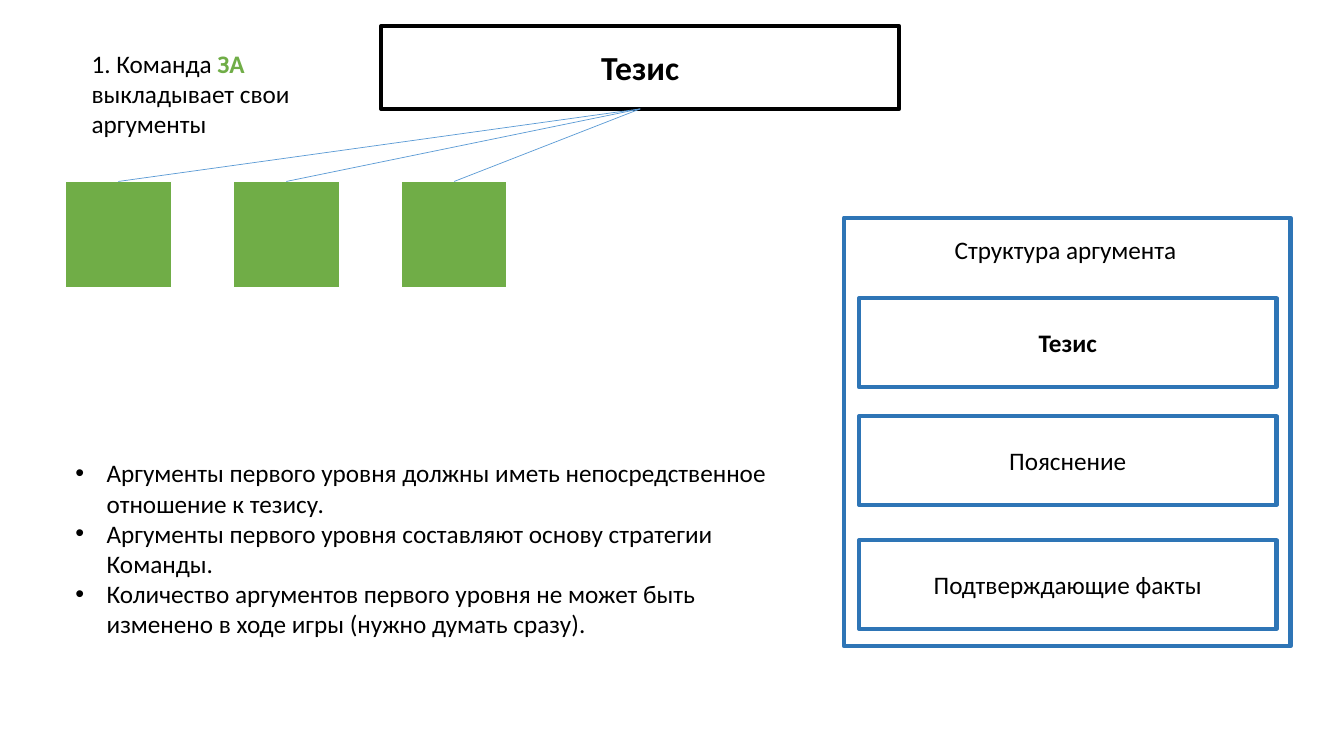
import pptx
import pptx.util
import pptx.dml.color
import pptx.enum.shapes
import pptx.enum.text
import pptx.oxml.ns
from lxml import etree

Inches, Pt = pptx.util.Inches, pptx.util.Pt
RGBColor = pptx.dml.color.RGBColor
RECTANGLE = pptx.enum.shapes.MSO_SHAPE.RECTANGLE
STRAIGHT = pptx.enum.shapes.MSO_CONNECTOR.STRAIGHT
CENTER = pptx.enum.text.PP_ALIGN.CENTER
MIDDLE = pptx.enum.text.MSO_ANCHOR.MIDDLE
GROW = pptx.enum.text.MSO_AUTO_SIZE.SHAPE_TO_FIT_TEXT
qn = pptx.oxml.ns.qn

BLACK = RGBColor(0x00, 0x00, 0x00)
WHITE = RGBColor(0xFF, 0xFF, 0xFF)
GREEN = RGBColor(0x70, 0xAD, 0x47)
BLUE = RGBColor(0x2E, 0x75, 0xB6)
LIGHT_BLUE = RGBColor(0x5B, 0x9B, 0xD5)

# Content
THESIS = "Тезис"
STEP = [("1. Команда ", BLACK, False), ("ЗА ", GREEN, True),
        ("выкладывает свои аргументы", BLACK, False)]
RULES = [
    "Аргументы первого уровня должны иметь непосредственное отношение к тезису.",
    "Аргументы первого уровня составляют основу стратегии Команды.",
    "Количество аргументов первого уровня не может быть изменено в ходе игры "
    "(нужно думать сразу).",
]
STRUCTURE_TITLE = "Структура аргумента"
STRUCTURE = [(THESIS, 2.96, True), ("Пояснение", 4.13, False),
             ("Подтверждающие факты", 5.36, False)]  # text, top, bold

# Layout
ARGUMENT_COUNT = 3
ARGUMENT_LEFT, ARGUMENT_TOP, ARGUMENT_SIDE, ARGUMENT_STEP = 0.65, 1.8, 1.05, 1.665


def style(run, size=18, color=BLACK, bold=False):
    run.font.name = "Calibri"
    run.font.size = Pt(size)
    run.font.color.rgb = color
    run.font.bold = bold


def add_box(shapes, left, top, width, height, line, weight, fill=None):
    box = shapes.add_shape(RECTANGLE, *map(Inches, (left, top, width, height)))
    box.shadow.inherit = False
    if fill is None:
        box.fill.background()
    else:
        box.fill.solid()
        box.fill.fore_color.rgb = fill
    box.line.color.rgb = line
    box.line.width = Pt(weight)
    return box


def label(box, text, size=18, bold=False):
    box.text_frame.text = text
    box.text_frame.word_wrap = True
    box.text_frame.vertical_anchor = MIDDLE
    paragraph = box.text_frame.paragraphs[0]
    paragraph.alignment = CENTER
    style(paragraph.runs[0], size, bold=bold)


def add_text(shapes, left, top, width, height, wrap=True):
    frame = shapes.add_textbox(*map(Inches, (left, top, width, height))).text_frame
    frame.word_wrap = wrap
    frame.auto_size = GROW
    return frame


def add_bullet(paragraph):
    properties = paragraph._p.get_or_add_pPr()
    properties.set("marL", str(Inches(0.31)))
    properties.set("indent", str(-Inches(0.31)))
    etree.SubElement(properties, qn("a:buFont")).set("typeface", "Arial")
    etree.SubElement(properties, qn("a:buChar")).set("char", "•")


deck = pptx.Presentation()
deck.slide_width, deck.slide_height = Inches(13.33), Inches(7.5)
slide = deck.slides.add_slide(deck.slide_layouts[6])

# Thesis and first-level arguments
thesis = add_box(slide.shapes, 3.78, 0.26, 5.14, 0.82, BLACK, 3)
label(thesis, THESIS, 24, True)
arguments = [
    add_box(slide.shapes, ARGUMENT_LEFT + i * ARGUMENT_STEP, ARGUMENT_TOP,
            ARGUMENT_SIDE, ARGUMENT_SIDE, WHITE, 1, GREEN)
    for i in range(ARGUMENT_COUNT)
]

# Links from the top of each argument to the bottom of the thesis
for argument in reversed(arguments):
    link = slide.shapes.add_connector(STRAIGHT, 0, 0, 0, 0)
    link.begin_connect(argument, 0)
    link.end_connect(thesis, 2)
    link.line.color.rgb = LIGHT_BLUE
    link.line.width = Pt(0.5)
    etree.SubElement(link._element.spPr, qn("a:effectLst"))

# Step description
step = add_text(slide.shapes, 0.81, 0.43, 2.71, 1.01).paragraphs[0]
for text, color, bold in STEP:
    run = step.add_run()
    run.text = text
    style(run, color=color, bold=bold)

# Rules
rules = add_text(slide.shapes, 0.65, 4.49, 7.1, 1.92)
rules.text = "\n".join(RULES)
for paragraph in rules.paragraphs:
    add_bullet(paragraph)
    style(paragraph.runs[0])

# Structure of an argument
structure = slide.shapes.add_group_shape().shapes
add_box(structure, 8.37, 2.16, 4.43, 4.25, BLUE, 3)
title = add_text(structure, 9.37, 2.28, 2.43, 0.4, wrap=False)
title.text = STRUCTURE_TITLE
style(title.paragraphs[0].runs[0])
for text, top, bold in STRUCTURE:
    label(add_box(structure, 8.52, top, 4.14, 0.88, BLUE, 3), text, bold=bold)

deck.save("out.pptx")
